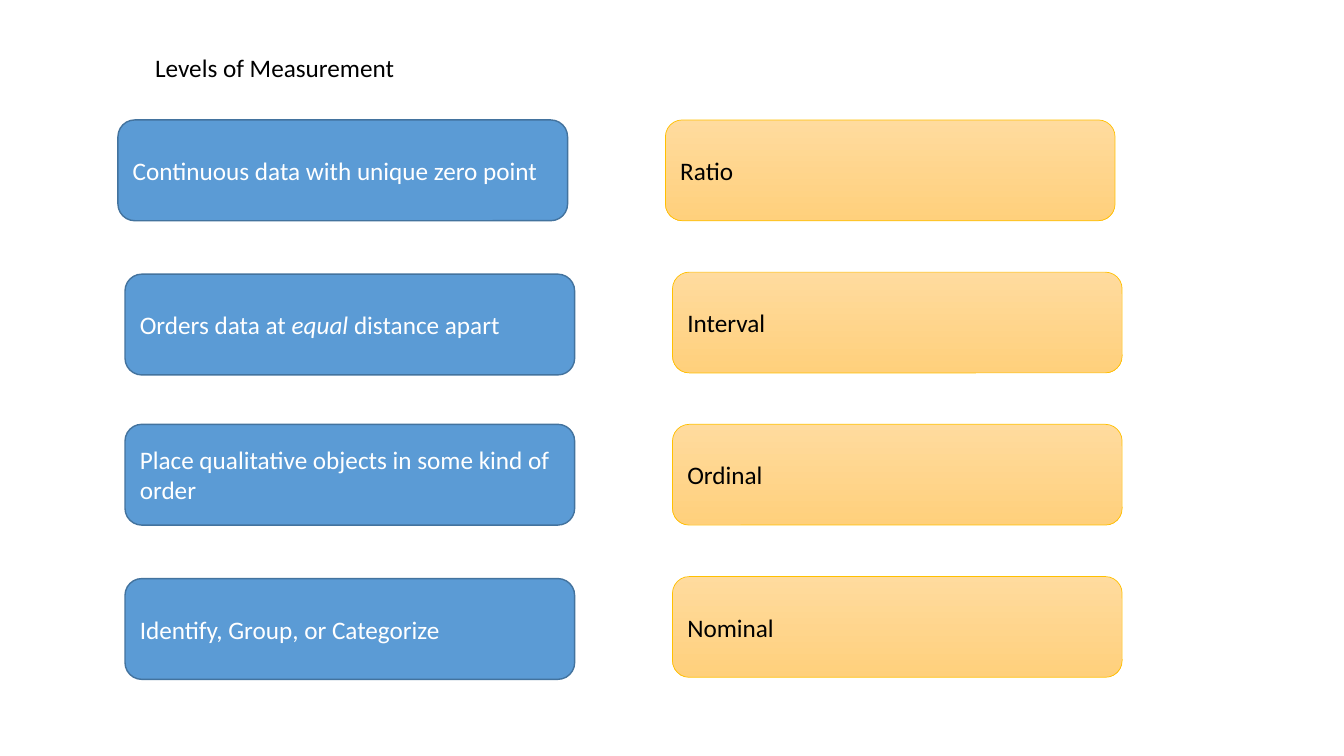
from pptx import Presentation
from pptx.dml.color import RGBColor
from pptx.enum.shapes import MSO_SHAPE
from pptx.enum.text import MSO_ANCHOR, MSO_AUTO_SIZE, PP_ALIGN
from pptx.util import Inches, Pt

ROUND = MSO_SHAPE.ROUNDED_RECTANGLE
MIDDLE = MSO_ANCHOR.MIDDLE
FIT = MSO_AUTO_SIZE.SHAPE_TO_FIT_TEXT
LEFT = PP_ALIGN.LEFT

BLUE = RGBColor(0x5B, 0x9B, 0xD5)
NAVY = RGBColor(0x43, 0x73, 0x9E)
PEACH = RGBColor(0xFF, 0xDB, 0x9E)
AMBER = RGBColor(0xFF, 0xD0, 0x7C)
GOLD = RGBColor(0xFF, 0xC0, 0x00)
WHITE = RGBColor(0xFF, 0xFF, 0xFF)
BLACK = RGBColor(0x00, 0x00, 0x00)

WIDE, HIGH = 13.33, 7.5
CARD_W, CARD_H = 4.46, 1
COL_STEP, ROW_STEP = 5.43, 1.51
GRID_X, GRID_Y = 1.24, 1.19

# Meaning as (text, italic) runs, level, shift of the row, drop of the meaning
LEVELS = [
    ([("Continuous data with unique zero point", False)], "Ratio", -0.07, 0),
    ([("Orders data at ", False), ("equal ", True), ("distance apart", False)],
     "Interval", 0, 0.02),
    ([("Place qualitative objects in some kind of order", False)],
     "Ordinal", 0, 0),
    ([("Identify, Group, or Categorize", False)], "Nominal", 0, 0.02),
]


def write(frame, runs, color=BLACK, size=18, font="Calibri"):
    """Fill a text frame with one paragraph of (text, italic) runs."""
    para = frame.paragraphs[0]
    para.alignment = LEFT
    for text, slant in runs:
        run = para.add_run()
        run.text = text
        run.font.name = font
        run.font.size = Pt(size)
        run.font.italic = slant
        run.font.color.rgb = color


def add_card(slide, x, y, runs, color, edge, weight):
    card = slide.shapes.add_shape(
        ROUND, Inches(x), Inches(y), Inches(CARD_W), Inches(CARD_H))
    card.shadow.inherit = False
    card.line.color.rgb = edge
    card.line.width = Pt(weight)
    card.text_frame.word_wrap = True
    card.text_frame.vertical_anchor = MIDDLE
    write(card.text_frame, runs, color=color)
    return card


def add_meaning(slide, x, y, runs):
    card = add_card(slide, x, y, runs, WHITE, NAVY, 1)
    card.fill.solid()
    card.fill.fore_color.rgb = BLUE


def add_level(slide, x, y, name):
    card = add_card(slide, x, y, [(name, False)], BLACK, GOLD, 0.5)
    card.fill.gradient()
    card.fill.gradient_angle = 270
    for stop, shade in zip(card.fill.gradient_stops, (PEACH, AMBER)):
        stop.color.rgb = shade


def add_title(slide, x, y, w, h, text):
    box = slide.shapes.add_textbox(Inches(x), Inches(y), Inches(w), Inches(h))
    box.text_frame.word_wrap = False
    box.text_frame.auto_size = FIT
    write(box.text_frame, [(text, False)])


def add_grid(slide, x, y):
    """Place each meaning beside its level, one pair a row."""
    for row, (runs, name, shift, drop) in enumerate(LEVELS):
        left, top = x + shift, y + row * ROW_STEP
        add_meaning(slide, left, top + drop, runs)
        add_level(slide, left + COL_STEP, top, name)


def main():
    deck = Presentation()
    deck.slide_width, deck.slide_height = Inches(WIDE), Inches(HIGH)
    slide = deck.slides.add_slide(deck.slide_layouts[6])
    add_title(slide, 1.44, 0.47, 2.6, 0.4, "Levels of Measurement")
    add_grid(slide, GRID_X, GRID_Y)
    deck.save("out.pptx")


if __name__ == "__main__":
    main()
